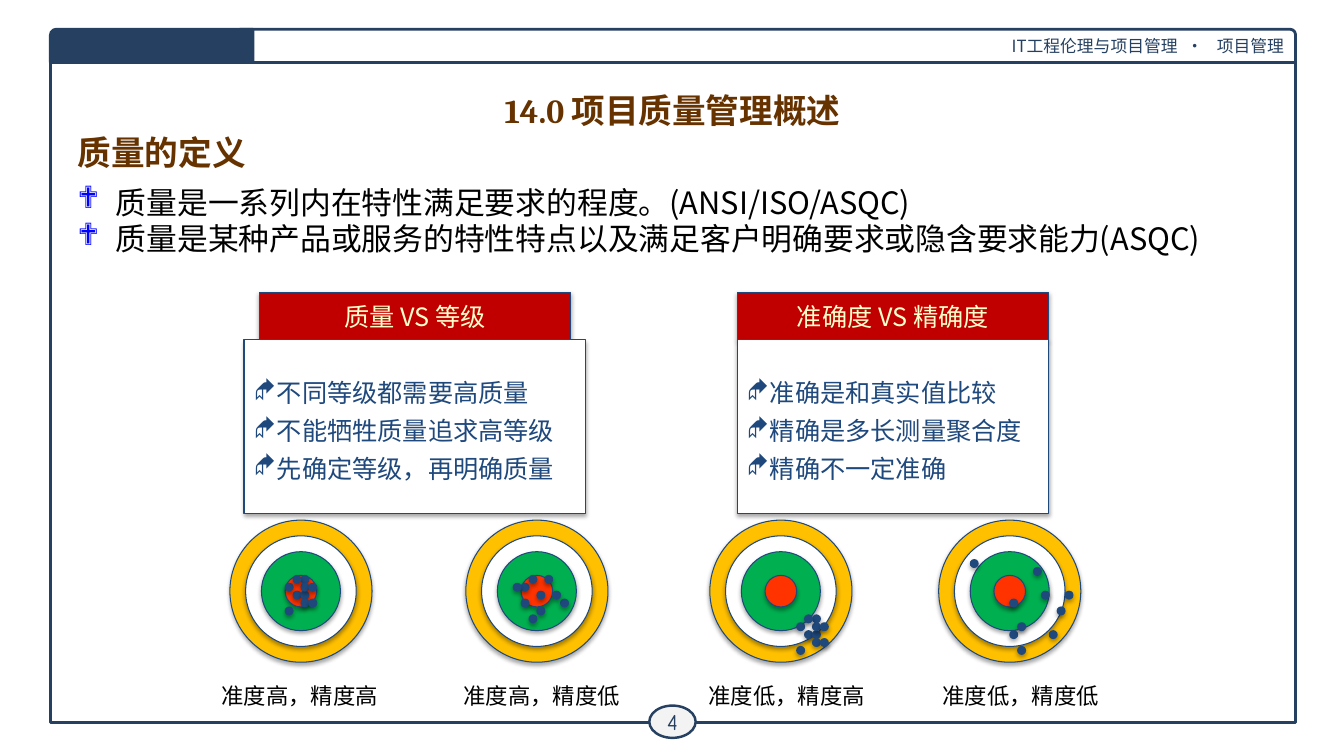
from collections import namedtuple
from dataclasses import dataclass

from lxml.etree import SubElement
from pptx import Presentation
from pptx.dml.color import RGBColor
from pptx.enum.shapes import MSO_SHAPE
from pptx.enum.text import MSO_ANCHOR, MSO_AUTO_SIZE, PP_ALIGN
from pptx.oxml.ns import qn
from pptx.util import Inches, Pt

Box = namedtuple("Box", "left top width height")


@dataclass(frozen=True)
class Theme:
    sans: str = "Noto Sans CJK SC"
    serif: str = "Cambria"
    number: str = "Comic Neue"
    frame: str = "254061"
    badge: str = "F3F3F3"
    heading: str = "663300"
    bullet: str = "0000FF"
    ink: str = "000000"
    paper: str = "FFFFFF"
    accent: str = "1F497D"
    banner: str = "C00000"
    banner_text: str = "FFFFCC"
    rings: tuple = ("FFC000", "FFFFFF", "00B050", "FF3300")
    heading_size: int = 24
    body_size: int = 22
    panel_size: int = 18
    caption_size: int = 16
    header_size: int = 12


THEME = Theme()
RING_CELLS = (18, 14, 10, 4)
TARGET_CELLS = 18
CLUSTER = [(8, 9), (9, 7), (9, 9), (9, 8), (9, 10),
           (7, 8), (7, 11), (10, 8), (10, 10), (8, 7)]
LOOSE = [(7, 8), (10, 7), (6, 8), (8, 7), (9, 11),
         (8, 12), (7, 10), (12, 10), (9, 9), (11, 9)]
SCATTERED = [(9, 14), (15, 11), (16, 9), (9, 10), (13, 9),
             (10, 13), (10, 16), (14, 14), (12, 6), (4, 5)]
OFF_CENTRE = [(column + 4, row + 5) for column, row in CLUSTER]


def emu(box):
    return [Inches(length) for length in box]


def style(para, size, color, font=THEME.sans, bold=False):
    for span in para.runs:
        span.font.size = Pt(size)
        span.font.name = font
        span.font.bold = bold
        span.font.color.rgb = RGBColor.from_string(color)
        SubElement(span.font._element, qn("a:ea"), typeface=THEME.sans)


def add_bullet(para, symbol, color, indent=0):
    props = para._p.get_or_add_pPr()
    props.set("marL", str(Inches(indent)))
    props.set("indent", str(-Inches(indent)))
    tint = SubElement(props, qn("a:buClr"))
    SubElement(tint, qn("a:srgbClr"), val=color)
    SubElement(props, qn("a:buFont"), typeface="Wingdings")
    SubElement(props, qn("a:buChar"), char=symbol)


def add_shadow(shape):
    effects = SubElement(shape._element.spPr, qn("a:effectLst"))
    outer = SubElement(effects, qn("a:outerShdw"), blurRad=str(Pt(3.1)),
                       dist=str(Pt(1.8)), dir="5400000", rotWithShape="0")
    tint = SubElement(outer, qn("a:srgbClr"), val=THEME.ink)
    SubElement(tint, qn("a:alpha"), val="35000")


def draw(page, kind, box, fill, line, width, shadow=False):
    shape = page.shapes.add_shape(kind, *emu(box))
    if fill:
        shape.fill.solid()
        shape.fill.fore_color.rgb = RGBColor.from_string(fill)
    else:
        shape.fill.background()
    shape.line.color.rgb = RGBColor.from_string(line)
    shape.line.width = Pt(width)
    if shadow:
        add_shadow(shape)
    else:
        shape.shadow.inherit = False
    shape.text_frame.vertical_anchor = MSO_ANCHOR.MIDDLE
    return shape


def draw_frame(page, box):
    draw(page, MSO_SHAPE.RECTANGLE, Box(box.left, 0.5, box.width, 6.67), None, THEME.frame, 2)
    header = draw(page, MSO_SHAPE.ROUND_1_RECTANGLE,
                  Box(2.38, box.top, 10.47, 0.33), THEME.paper, THEME.frame, 2)
    para = header.text_frame.paragraphs[0]
    para.alignment = PP_ALIGN.RIGHT
    for words in ("IT工程伦理与项目管理", " · ", "项目管理"):
        para.add_run().text = words
    style(para, THEME.header_size, THEME.frame)
    para.runs[1].font._element.set("spc", "350")

    badge = draw(page, MSO_SHAPE.OVAL, Box(6.44, 7, 0.46, 0.32), THEME.badge, THEME.frame, 1.75)
    frame = badge.text_frame
    frame.margin_left = frame.margin_right = frame.margin_top = frame.margin_bottom = Inches(0.04)
    frame.word_wrap = False
    frame.text = "4"
    frame.paragraphs[0].alignment = PP_ALIGN.CENTER
    style(frame.paragraphs[0], THEME.caption_size, THEME.frame, THEME.number)

    tab = draw(page, MSO_SHAPE.ROUND_1_RECTANGLE,
               Box(box.left, box.top, 2.01, 0.33), THEME.frame, THEME.frame, 2)
    tab.adjustments[0] = 0.175
    tab._element.spPr.find(qn("a:xfrm")).set("flipH", "1")


def place_heading(shape, box, text, alignment):
    shape.left, shape.top, shape.width, shape.height = emu(box)
    frame = shape.text_frame
    frame.word_wrap = True
    frame.auto_size = MSO_AUTO_SIZE.NONE
    frame.vertical_anchor = MSO_ANCHOR.TOP
    frame.text = text
    frame.paragraphs[0].alignment = alignment
    style(frame.paragraphs[0], THEME.heading_size, THEME.heading, THEME.serif, True)


def place_definitions(shape, box, lines):
    shape.left, shape.top, shape.width, shape.height = emu(box)
    frame = shape.text_frame
    frame.auto_size = MSO_AUTO_SIZE.NONE
    frame.text = "\n".join(lines)
    for index, para in enumerate(frame.paragraphs):
        para.line_spacing = 0.83
        para.space_before = Pt(4.4 if index else 0)
        add_bullet(para, "❖", THEME.bullet, 0.38)
        style(para, THEME.body_size, THEME.ink)


def draw_panel(page, box, overhang, title, lines):
    banner_height = 0.47
    banner = draw(page, MSO_SHAPE.RECTANGLE, box._replace(height=banner_height),
                  THEME.banner, THEME.accent, 0.75, True)
    banner.text_frame.text = title
    banner.text_frame.paragraphs[0].alignment = PP_ALIGN.CENTER
    style(banner.text_frame.paragraphs[0], THEME.panel_size, THEME.banner_text)
    card = draw(page, MSO_SHAPE.RECTANGLE,
                Box(box.left - overhang, box.top + banner_height,
                    box.width + 2 * overhang, box.height - banner_height),
                THEME.paper, THEME.accent, 0.75, True)
    card.text_frame.text = "\n".join(lines)
    for para in card.text_frame.paragraphs:
        para.alignment = PP_ALIGN.LEFT
        para.line_spacing = 1.25
        add_bullet(para, "◆", THEME.accent)
        style(para, THEME.panel_size, THEME.accent)


def draw_target(page, box, hits, caption, caption_left):
    cell = box.width / TARGET_CELLS
    for cells, color in zip(RING_CELLS, THEME.rings):
        inset = (TARGET_CELLS - cells) / 2 * cell
        ring = Box(box.left + inset, box.top + inset, cells * cell, cells * cell)
        draw(page, MSO_SHAPE.OVAL, ring, color, THEME.accent, 0.75, True)
    for column, row in hits:
        dot = Box(box.left + column * cell, box.top + row * cell, cell, cell)
        draw(page, MSO_SHAPE.OVAL, dot, THEME.accent, THEME.accent, 0.75, True)
    label = page.shapes.add_textbox(*emu(Box(caption_left, box.top + 1.56, 1.77, 0.37)))
    label.text_frame.word_wrap = False
    label.text_frame.text = caption
    style(label.text_frame.paragraphs[0], THEME.caption_size, THEME.ink)


def main():
    deck = Presentation()
    deck.slide_width, deck.slide_height = Inches(13.33), Inches(7.5)
    page = deck.slides.add_slide(deck.slide_layouts[1])
    draw_frame(page, Box(0.5, 0.29, 12.35, 6.88))
    place_heading(page.shapes.title, Box(0.67, 1.26, 12, 0.48), "质量的定义", PP_ALIGN.LEFT)
    place_definitions(page.placeholders[1], Box(0.67, 1.83, 11.7, 0.78), [
        "质量是一系列内在特性满足要求的程度。(ANSI/ISO/ASQC)",
        "质量是某种产品或服务的特性特点以及满足客户明确要求或隐含要求能力(ASQC)"])
    draw_panel(page, Box(2.57, 2.9, 3.09, 2.19), 0.15, "质量 VS 等级",
               ["不同等级都需要高质量", "不能牺牲质量追求高等级", "先确定等级，再明确质量"])
    draw_panel(page, Box(7.31, 2.9, 3.09, 2.19), 0, "准确度 VS 精确度",
               ["准确是和真实值比较", "精确是多长测量聚合度", "精确不一定准确"])
    for left, hits, caption, caption_left in (
            (2.28, CLUSTER, "准度高，精度高", 2.1),
            (4.62, LOOSE, "准度高，精度低", 4.5),
            (7.04, OFF_CENTRE, "准度低，精度高", 6.93),
            (9.31, SCATTERED, "准度低，精度低", 9.25)):
        draw_target(page, Box(left, 5.16, 1.41, 1.41), hits, caption, caption_left)
    chapter = Box(0.67, 0.84, 12, 0.48)
    place_heading(page.shapes.add_textbox(*emu(chapter)), chapter,
                  "14.0 项目质量管理概述", PP_ALIGN.CENTER)
    deck.save("out.pptx")


if __name__ == "__main__":
    main()
